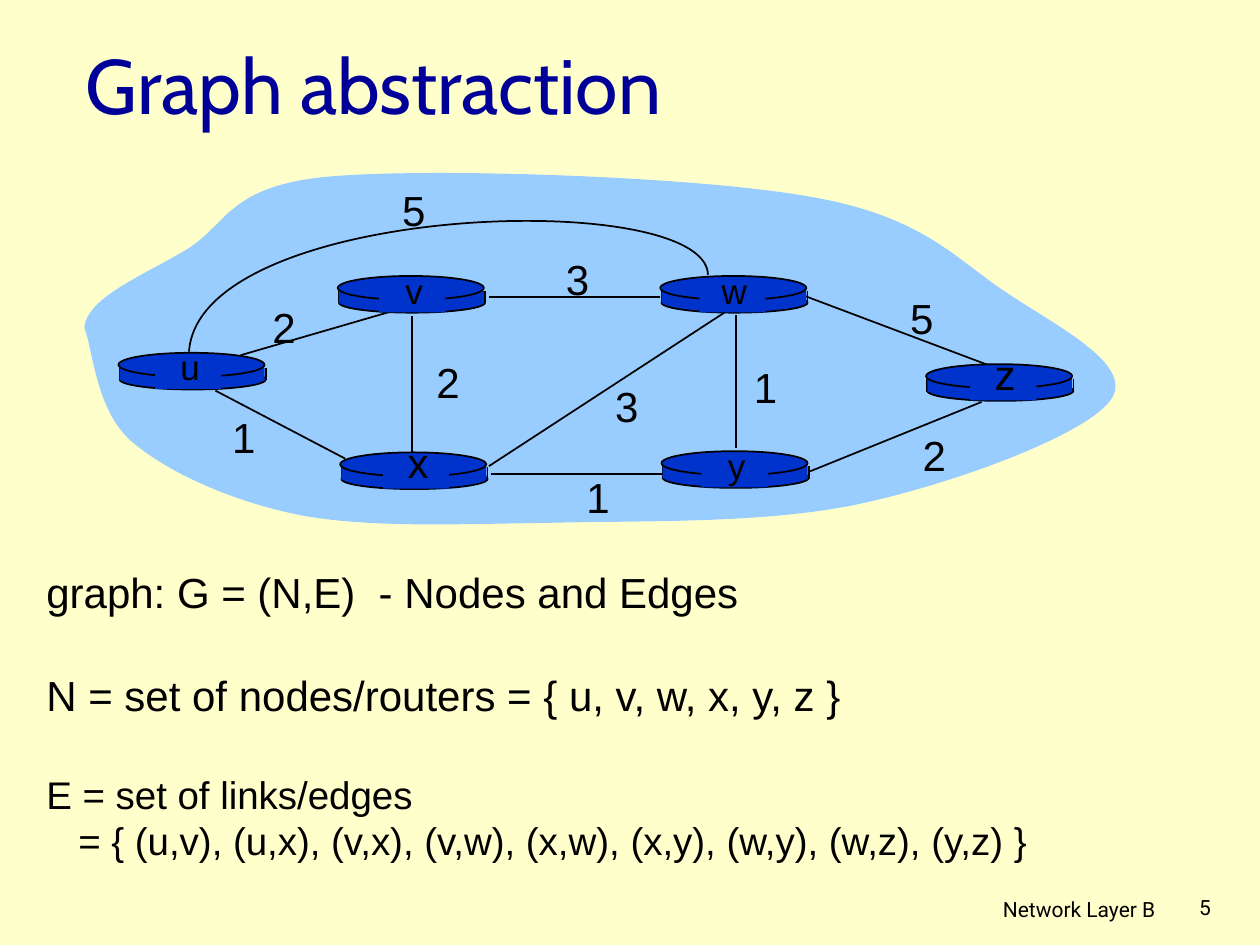
from lxml.etree import SubElement
from pptx import Presentation
from pptx.dml.color import RGBColor
from pptx.enum.shapes import MSO_CONNECTOR as CONNECTOR, MSO_SHAPE as SHAPE
from pptx.enum.text import MSO_ANCHOR as ANCHOR, PP_ALIGN as ALIGN
from pptx.oxml.ns import qn
from pptx.shapes.connector import Connector
from pptx.util import Pt

colour = RGBColor.from_string
BLACK, NAVY, ROUTER_BLUE, CLOUD_BLUE, CREAM = "000000", "000099", "0033CC", "99CCFF", "FFFFCC"

presentation = Presentation()
presentation.slide_width, presentation.slide_height = Pt(720), Pt(540)
slide = presentation.slides.add_slide(presentation.slide_layouts[5])
slide.background.fill.solid()
slide.background.fill.fore_color.rgb = colour(CREAM)
shapes = slide.shapes


def paint(shape, fill=None, line=None):
    """Set fill and line, and switch the shadow off."""
    if fill:
        shape.fill.solid()
        shape.fill.fore_color.rgb = colour(fill)
    elif not isinstance(shape, Connector):
        shape.fill.background()
    if line:
        shape.line.color.rgb = colour(line)
        shape.line.width = Pt(1)
    else:
        shape.line.fill.background()
    SubElement(shape.element.spPr, qn("a:effectLst"))


def add_text(box, lines, font="Arial", align=ALIGN.LEFT):
    """Add a text box; each line is text, size, space before, indent."""
    frame = shapes.add_textbox(*map(Pt, box)).text_frame
    frame.word_wrap = True
    for index, (text, size, before, indent) in enumerate(lines):
        paragraph = frame.add_paragraph() if index else frame.paragraphs[0]
        paragraph.alignment = align
        paragraph.space_before = Pt(before)
        if indent:
            paragraph._p.get_or_add_pPr().set("marL", str(Pt(indent)))
        run = paragraph.add_run()
        run.text = text
        run.font.size, run.font.name = Pt(size), font
        run.font.color.rgb = colour(BLACK)


# Title
title = shapes.title
title.left, title.top, title.width, title.height = Pt(41.8), Pt(16.6), Pt(612), Pt(62.6)
title.text_frame.vertical_anchor = ANCHOR.MIDDLE
paragraph = title.text_frame.paragraphs[0]
paragraph.alignment = ALIGN.LEFT
run = paragraph.add_run()
run.text = "Graph abstraction"
run.font.size, run.font.name = Pt(44), "Cabin"
run.font.color.rgb = colour(NAVY)

# Curves: a start point, then three Bézier points per segment
cloud = [
    (48.2, 187.2),
    (49.7, 169.9), (82.8, 157), (106.6, 142.6),
    (130.3, 128.2), (130.3, 105.8), (189.4, 100.8),
    (248.4, 95.8), (398.2, 100.8), (462.2, 112.3),
    (526.3, 123.1), (545, 146.9), (573.8, 166.3),
    (602.6, 185.8), (648.7, 208.1), (635, 228.2),
    (621.4, 248.4), (545, 276.5), (491, 288),
    (437, 299.5), (366.5, 297.4), (313.2, 298.8),
    (259.9, 299.5), (211.7, 301.7), (172.1, 294.5),
    (132.5, 286.6), (95.8, 270), (74.9, 252),
    (54.7, 234), (53.3, 200.2), (48.2, 187.2),
]
link_u_w = [(404.6, 157), (403.2, 106.6), (113.8, 115.9), (108, 200.9)]
for points, fill, line in [(cloud, CLOUD_BLUE, None), (link_u_w, None, BLACK)]:
    start, *rest = [(Pt(x), Pt(y)) for x, y in points]
    builder = shapes.build_freeform(*start)
    builder.add_line_segments(rest, close=bool(fill))
    shape = builder.convert_to_shape()
    # Turn each three straight steps into one cubic curve
    steps = list(shape.element.iter(qn("a:lnTo")))
    for first in range(0, len(steps), 3):
        curve = steps[first]
        curve_parent = curve.getparent()
        cubic = curve_parent.makeelement(qn("a:cubicBezTo"), {})
        curve_parent.insert(curve_parent.index(curve), cubic)
        for step in steps[first:first + 3]:
            cubic.append(step[0])
            curve_parent.remove(step)
    paint(shape, fill, line)

# Straight links: ends, cost, left and top of the cost label
links = [
    (137.5, 203, 229, 176.4, "2", 136.1, 168.5),
    (235.4, 180.7, 235.4, 259.2, "2", 229.7, 200.2),
    (197.3, 262.1, 123.1, 223.2, "1", 113, 231.8),
    (279.4, 266.4, 414, 178.6, "3", 331.9, 213.8),
    (378.7, 270.7, 280.8, 270.7, "1", 315.4, 265.7),
    (420.5, 180, 420.5, 256.3, "1", 411.1, 203),
    (463, 269.3, 560.9, 229.7, "2", 507.6, 241.9),
    (565.2, 208.8, 460.1, 169.2, "5", 500.4, 163.4),
    (377.3, 169.9, 279.4, 169.9, "3", 303.8, 141.1),
]
for *ends, cost, left, top in links:
    paint(shapes.add_connector(CONNECTOR.STRAIGHT, *map(Pt, ends)), line=BLACK)
    add_text((left, top, 52.6, 33.8), [(cost, 24, 0, 0)], align=ALIGN.CENTER)
add_text((210.2, 102.2, 52.6, 33.8), [("5", 24, 0, 0)], align=ALIGN.CENTER)

# Routers: name, left, top, left of the name plate, label width, label size
routers = [
    ("u", 67.7, 201.6, 88.6, 54.7, 20),
    ("v", 193, 157.7, 216.7, 52.6, 20),
    ("w", 377.3, 157.7, 399.6, 61.9, 20),
    ("x", 194.4, 258.5, 218.9, 56.9, 24),
    ("y", 378, 257.8, 401, 52.6, 20),
    ("z", 529.2, 208.1, 554.4, 56.9, 24),
]
for name, left, top, plate, width, size in routers:
    side = left + 0.7
    base = shapes.add_shape(SHAPE.OVAL, Pt(side), Pt(top + 9.5), Pt(83.5), Pt(11.5))
    paint(base, ROUTER_BLUE, BLACK)
    for x in (side, side + 83.5):
        edge = shapes.add_connector(CONNECTOR.STRAIGHT, Pt(x), Pt(top + 8.5), Pt(x), Pt(top + 15.7))
        paint(edge, line=BLACK)
    for kind, box, line in [
        (SHAPE.RECTANGLE, (side, top + 8.5, 82.8, 7.2), None),
        (SHAPE.OVAL, (left, top, 83.5, 13.7), BLACK),
        (SHAPE.RECTANGLE, (plate, top + 1.4, 37.8, 19.4), None),
    ]:
        paint(shapes.add_shape(kind, *map(Pt, box)), ROUTER_BLUE, line)
    rise, height = (7.5, 36.7) if size == 20 else (12.6, 42.5)
    add_text((plate + 20 - width / 2, top - rise, width, height),
             [(name, size, 0, 0)], align=ALIGN.CENTER)

# Definitions
add_text((19.4, 320.4, 589, 174.2), [
    ("graph: G = (N,E)  - Nodes and Edges", 24, 0, 0),
    ("N = set of nodes/routers = { u, v, w, x, y, z }", 24, 30, 0),
    ("E = set of links/edges", 22, 29, 0),
    ("= { (u,v), (u,x), (v,x), (v,w), (x,w), (x,y), (w,y), (w,z), (y,z) }", 22, 0, 18.3),
])

# Footer
add_text((439.2, 509, 228.2, 22.3), [("Network Layer B", 12, 0, 0)], "Roboto", ALIGN.RIGHT)
add_text((678.2, 507.6, 20.9, 21.6), [("5", 12, 0, 0)], "Roboto")

presentation.save("out.pptx")
